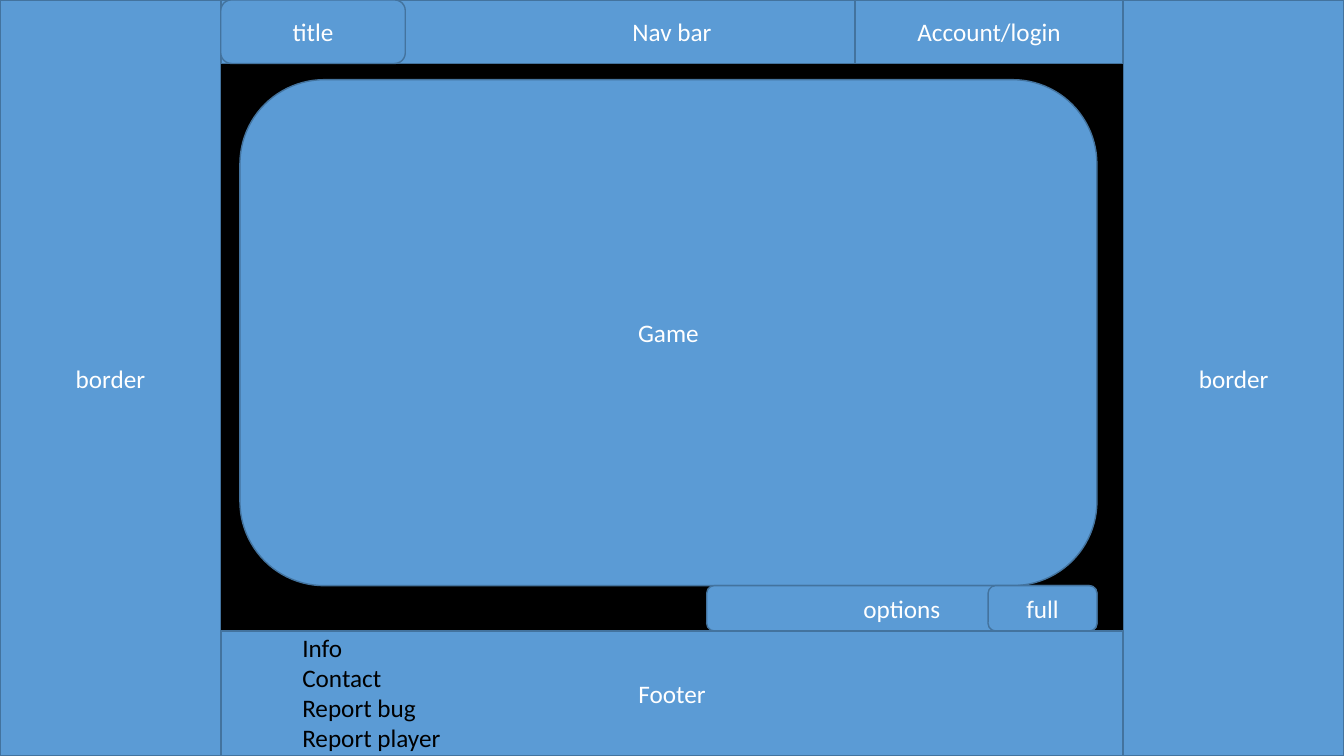
from pptx import Presentation
from pptx.dml.color import RGBColor
from pptx.enum.shapes import MSO_SHAPE as SHAPE
from pptx.enum.text import MSO_ANCHOR as ANCHOR, MSO_AUTO_SIZE as AUTO, PP_ALIGN as ALIGN
from pptx.util import Inches, Pt

SLIDE_W, SLIDE_H = 13.33, 7.5
BORDER_W = 2.19
NAV_H = 0.63
FOOTER_H = 1.24
OPTIONS_H = 0.45
FOOTER_LINKS = ["Info", "Contact", "Report bug", "Report player"]


def rgb(color):
    return RGBColor.from_string(color)


def format_text(tf, color, align):
    for p in tf.paragraphs:
        p.alignment = align
        for r in p.runs:
            r.font.name = "Calibri"
            r.font.size = Pt(18)
            r.font.color.rgb = rgb(color)


def add_block(slide, label, x, y, w, h, kind=SHAPE.RECTANGLE):
    """Add one labelled region of the wireframe."""
    sp = slide.shapes.add_shape(kind, Inches(x), Inches(y), Inches(w), Inches(h))
    sp.shadow.inherit = False
    sp.fill.solid()
    sp.fill.fore_color.rgb = rgb("5B9BD5")
    sp.line.color.rgb = rgb("43739E")
    sp.line.width = Pt(1)
    tf = sp.text_frame
    tf.text = label
    tf.word_wrap = True
    tf.vertical_anchor = ANCHOR.MIDDLE
    format_text(tf, "FFFFFF", ALIGN.CENTER)


def add_borders(slide):
    for x in (0, SLIDE_W - BORDER_W):
        add_block(slide, "border", x, 0, BORDER_W, SLIDE_H)


def add_nav_bar(slide, x, y, w, h):
    account_w = 2.66
    add_block(slide, "Nav bar", x, y, w, h)
    add_block(slide, "Account/login", x + w - account_w, y, account_w, h)
    add_block(slide, "title", x, y, 1.83, h, SHAPE.ROUNDED_RECTANGLE)


def add_game(slide, x, y, w, h):
    """Add the game area with its options bar along the bottom right."""
    game_h = h - OPTIONS_H
    add_block(slide, "Game", x, y, w, game_h, SHAPE.ROUNDED_RECTANGLE)
    for label, bar_w in (("options", 3.87), ("full", 1.08)):
        add_block(slide, label, x + w - bar_w, y + game_h, bar_w, OPTIONS_H,
                  SHAPE.ROUNDED_RECTANGLE)


def add_footer(slide, x, y, w, h):
    add_block(slide, "Footer", x, y, w, h)
    links = slide.shapes.add_textbox(Inches(x + 0.71), Inches(y - 0.04),
                                     Inches(2.23), Inches(1.31))
    tf = links.text_frame
    tf.text = "\n".join(FOOTER_LINKS)
    tf.word_wrap = True
    tf.auto_size = AUTO.SHAPE_TO_FIT_TEXT
    format_text(tf, "000000", ALIGN.LEFT)


def main():
    prs = Presentation()
    prs.slide_width, prs.slide_height = Inches(SLIDE_W), Inches(SLIDE_H)
    slide = prs.slides.add_slide(prs.slide_layouts[6])
    slide.background.fill.solid()
    slide.background.fill.fore_color.rgb = rgb("000000")

    page_w = SLIDE_W - 2 * BORDER_W
    footer_y = SLIDE_H - FOOTER_H
    game_y = 0.79
    add_borders(slide)
    add_nav_bar(slide, BORDER_W, 0, page_w, NAV_H)
    add_game(slide, BORDER_W + 0.19, game_y, 8.5, footer_y - game_y)
    add_footer(slide, BORDER_W, footer_y, page_w, FOOTER_H)
    prs.save("out.pptx")


if __name__ == "__main__":
    main()
